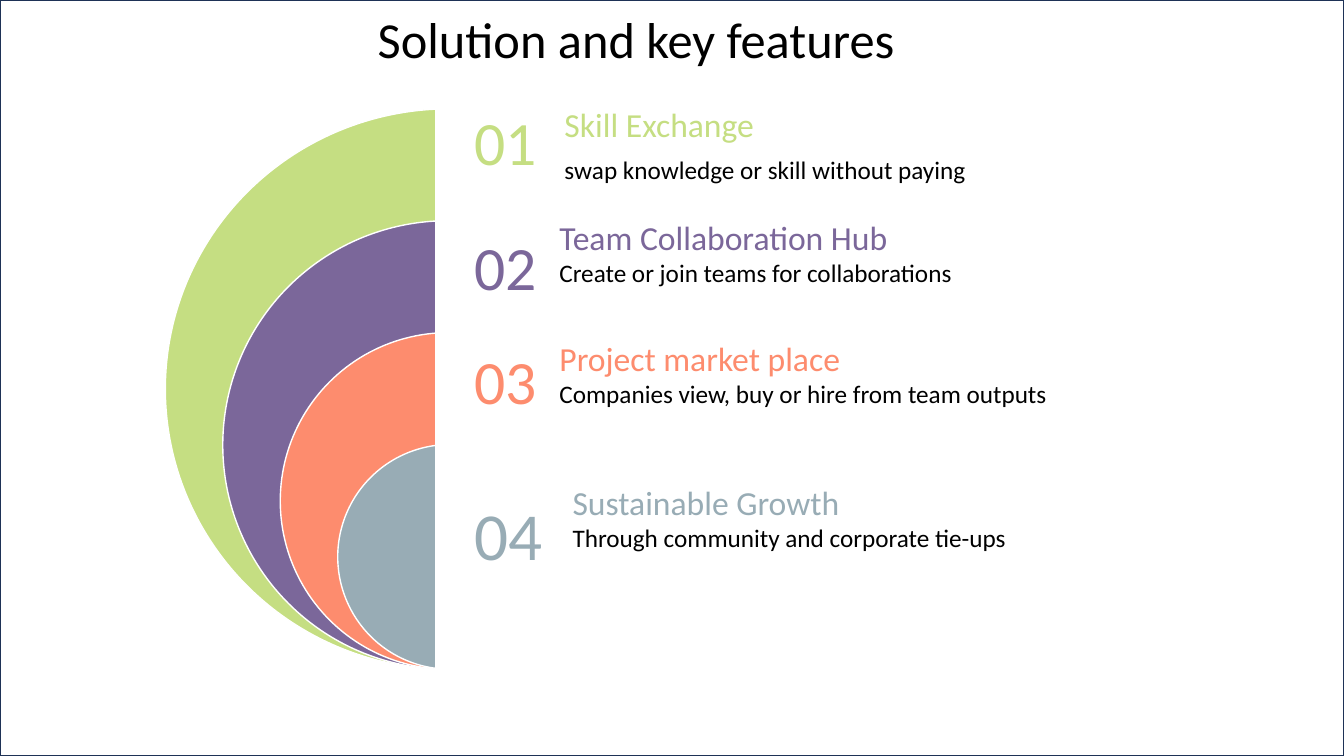
from pptx import Presentation
from pptx.dml.color import RGBColor
from pptx.enum.shapes import MSO_SHAPE
from pptx.enum.text import PP_ALIGN
from pptx.util import Inches, Pt

RECT, OVAL = MSO_SHAPE.RECTANGLE, MSO_SHAPE.OVAL
LEFT, CENTER = PP_ALIGN.LEFT, PP_ALIGN.CENTER
WHITE = RGBColor(0xFF, 0xFF, 0xFF)
BLACK = RGBColor(0, 0, 0)
NAVY = RGBColor(0x1E, 0x32, 0x56)
GREEN = RGBColor(0xC5, 0xDE, 0x82)
PURPLE = RGBColor(0x7B, 0x67, 0x9A)
CORAL = RGBColor(0xFD, 0x8C, 0x6E)
GREY = RGBColor(0x98, 0xAC, 0xB5)

WIDE, HIGH = 13.33, 7.5
BASE = 6.64  # all rings rest on this line
SMALL, STEP = 2.23, 1.11  # smallest ring height, growth per ring

# colour, ring width, number box, number size, text box, gap, heading, detail
ITEMS = [
    (GREEN, 5.63, (4.61, 0.98, 0.84, 0.84), 44, (5.5, 0.98, 6.48, 0.91), 7,
     "Skill Exchange", "swap knowledge or skill without paying"),
    (PURPLE, 4.46, (4.61, 2.22, 0.84, 0.84), 44, (5.45, 2.1, 5.16, 0.81), 0,
     "Team Collaboration Hub", "Create or join teams for collaborations"),
    (CORAL, 3.34, (4.61, 3.35, 0.84, 0.84), 44, (5.45, 3.3, 6.95, 1.28), 0,
     "Project market place", "Companies view, buy or hire from team outputs"),
    (GREY, 2.23, (4.61, 4.84, 0.97, 0.91), 48, (5.58, 4.73, 6.05, 0.81), 0,
     "Sustainable Growth", "Through community and corporate tie-ups"),
]


class Deck:
    font = "Calibri"

    def __init__(self):
        self.prs = Presentation()
        self.prs.slide_width = Inches(WIDE)
        self.prs.slide_height = Inches(HIGH)
        self.slide = self.prs.slides.add_slide(self.prs.slide_layouts[6])

    def shape(self, kind, box, fill, line=WHITE):
        item = self.slide.shapes.add_shape(kind, *map(Inches, box))
        item.shadow.inherit = False
        item.fill.solid()
        item.fill.fore_color.rgb = fill
        item.line.color.rgb = line
        item.line.width = Pt(1)

    def frame(self, box):
        """Add an empty text box and return its text frame."""
        frame = self.slide.shapes.add_textbox(*map(Inches, box)).text_frame
        frame.word_wrap = True
        return frame

    def put(self, par, text, size, color=BLACK, align=LEFT, gap=0):
        """Fill a paragraph with one formatted run."""
        par.alignment = align
        par.space_before = Pt(gap)
        run = par.add_run()
        run.text = text
        run.font.name = self.font
        run.font.size = Pt(size)
        run.font.color.rgb = color

    def label(self, box, text, size, **style):
        self.put(self.frame(box).paragraphs[0], text, size, **style)

    def entry(self, box, head, detail, color, gap):
        """Add a coloured heading with a black detail line below it."""
        frame = self.frame(box)
        self.put(frame.paragraphs[0], head, 24, color=color)
        self.put(frame.add_paragraph(), detail, 18, gap=gap)


def main():
    deck = Deck()
    deck.shape(RECT, (0, 0, WIDE, HIGH), WHITE, NAVY)
    for i, (color, width, *_) in enumerate(ITEMS):
        tall = SMALL + STEP * (len(ITEMS) - 1 - i)
        deck.shape(OVAL, (1.64 + 0.57 * i, BASE - tall, width, tall), color)
    deck.shape(RECT, (4.32, 1, 8.58, 5.64), WHITE)

    deck.label((2.45, 0.03, 7.72, 0.71), "Solution and key features", 36,
               align=CENTER)
    for i, item in enumerate(ITEMS, 1):
        color, _, spot, size, area, gap, head, detail = item
        deck.label(spot, f"{i:02}", size, color=color)
        deck.entry(area, head, detail, color, gap)
    deck.prs.save("out.pptx")


if __name__ == "__main__":
    main()
